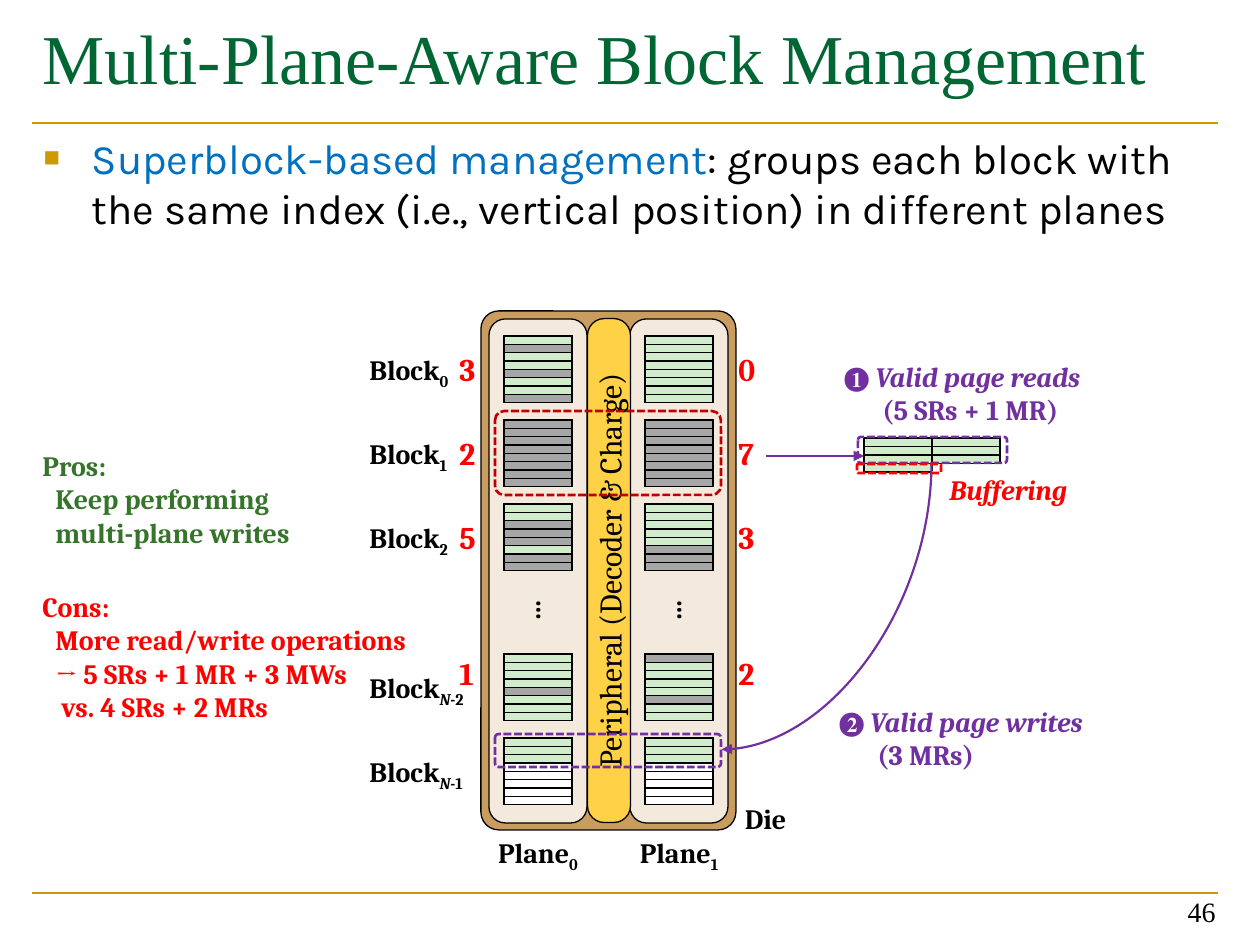
"""Build a slide on block management that is aware of flash planes."""
from dataclasses import dataclass

from lxml.etree import SubElement
from pptx import Presentation
from pptx.dml.color import RGBColor
from pptx.enum.dml import MSO_LINE
from pptx.enum.shapes import MSO_CONNECTOR, MSO_SHAPE
from pptx.enum.text import MSO_ANCHOR, MSO_AUTO_SIZE, PP_ALIGN
from pptx.oxml.ns import qn
from pptx.util import Emu, Pt

PX = 914400 / 126


@dataclass(frozen=True)
class Theme:
    title_font: str = "Times New Roman"
    body_font: str = "Karla"
    label_font: str = "Cambria"
    title_size: int = 40
    body_size: int = 24
    count_size: int = 18
    label_size: int = 16
    black: str = "000000"
    white: str = "FFFFFF"
    gold: str = "CC9900"
    title: str = "006633"
    term: str = "0070C0"
    pros: str = "35742A"
    red: str = "FF0000"
    dark_red: str = "C00000"
    purple: str = "7030A0"
    die: str = "C99C60"
    plane: str = "F3EADD"
    peripheral: str = "FFD147"
    valid: str = "D0ECCB"
    invalid: str = "A6A6A6"


THEME = Theme()


def px(length):
    return Emu(round(length * PX))


def write(para, text, font=THEME.label_font, size=THEME.label_size, color=THEME.black,
          bold=True, italic=False, subscript=False):
    span = para.add_run()
    span.text = text
    span.font.name, span.font.size = font, Pt(size)
    span.font.bold, span.font.italic = bold, italic
    span.font.color.rgb = RGBColor.from_string(color)
    if subscript:
        span.font._element.set("baseline", "-25000")


class SlideBuilder:
    def __init__(self, deck, theme):
        self.theme = theme
        self.page = deck.slides.add_slide(deck.slide_layouts[1])

    def placeholder(self, index, bounds, anchor):
        box = self.page.placeholders[index]
        box.left, box.top, box.width, box.height = map(px, bounds)
        frame = box.text_frame
        frame.auto_size, frame.vertical_anchor = MSO_AUTO_SIZE.NONE, anchor
        return frame

    def title(self, text, *bounds):
        frame = self.placeholder(0, bounds, MSO_ANCHOR.BOTTOM)
        frame.margin_bottom = 0
        para = frame.paragraphs[0]
        para.alignment = PP_ALIGN.LEFT
        write(para, text, self.theme.title_font, self.theme.title_size, self.theme.title, False)

    def bullet(self, spans, *bounds):
        para = self.placeholder(1, bounds, MSO_ANCHOR.TOP).paragraphs[0]
        properties = para._p.get_or_add_pPr()
        properties.set("marL", str(px(48)))
        properties.set("indent", str(px(-48)))
        SubElement(SubElement(properties, qn("a:spcBef")), qn("a:spcPct"), val="20000")
        SubElement(SubElement(properties, qn("a:buClr")), qn("a:srgbClr"), val=self.theme.gold)
        SubElement(properties, qn("a:buSzPct"), val="65000")
        SubElement(properties, qn("a:buChar"), char="■")
        for text, color in spans:
            write(para, text, self.theme.body_font, self.theme.body_size, color, False)

    def text(self, lines, *bounds, align=PP_ALIGN.LEFT, rotation=0,
             anchor=MSO_ANCHOR.TOP, **style):
        """Add lines of the form (indent, [(text, format), ...])."""
        box = self.page.shapes.add_textbox(*map(px, bounds))
        box.rotation = rotation
        frame = box.text_frame
        frame.word_wrap, frame.vertical_anchor = True, anchor
        for number, (indent, spans) in enumerate(lines):
            para = frame.add_paragraph() if number else frame.paragraphs[0]
            para.alignment = align
            if indent:
                para._p.get_or_add_pPr().set("marL", str(px(indent)))
            for text, extra in spans:
                write(para, text, **{**style, **extra})

    def label(self, text, *bounds, **style):
        self.text([(0, [(text, {})])], *bounds, **style)

    def indexed(self, name, index, *bounds, **style):
        spans = [(name, {})]
        if index.startswith("N"):
            spans.append(("N", {"subscript": True, "italic": True}))
        spans.append((index.removeprefix("N"), {"subscript": True}))
        self.text([(0, spans)], *bounds, **style)

    def rounded(self, *bounds, fill=None, line=THEME.black, width=0.75, corner=0.167, dashed=False):
        shape = self.page.shapes.add_shape(MSO_SHAPE.ROUNDED_RECTANGLE, *map(px, bounds))
        shape.shadow.inherit = False
        shape.adjustments[0] = corner
        if fill:
            shape.fill.solid()
            shape.fill.fore_color.rgb = RGBColor.from_string(fill)
        else:
            shape.fill.background()
        shape.line.color.rgb = RGBColor.from_string(line)
        shape.line.width = Pt(width)
        if dashed:
            shape.line.dash_style = MSO_LINE.SQUARE_DOT
        return shape

    def highlight(self, *bounds, color):
        self.rounded(*bounds, line=color, width=1.5, corner=0.11, dashed=True)

    def peripheral(self, text, *bounds):
        shape = self.rounded(*bounds, fill=self.theme.peripheral, corner=0.39)
        shape.rotation = 270
        frame = shape.text_frame
        frame.margin_left = frame.margin_right = frame.margin_top = frame.margin_bottom = 0
        frame.vertical_anchor = MSO_ANCHOR.MIDDLE
        frame.paragraphs[0].alignment = PP_ALIGN.CENTER
        write(frame.paragraphs[0], text, size=self.theme.count_size, bold=False)

    def pages(self, states, *bounds):
        """Add a column of pages: V valid, I invalid, F free, N none."""
        fills = {"V": self.theme.valid, "I": self.theme.invalid,
                 "F": self.theme.white, "N": self.theme.white}
        table = self.page.shapes.add_table(len(states), 1, *map(px, bounds)).table
        table.first_row = table.horz_banding = False
        for number, state in enumerate(states):
            table.rows[number].height = px(bounds[3] / len(states))
            cell = table.cell(number, 0)
            cell.margin_left = cell.margin_right = cell.margin_top = cell.margin_bottom = 0
            SubElement(cell.text_frame.paragraphs[0]._p, qn("a:endParaRPr"), sz="100")
            for side in "LT" if state == "N" else "LRTB":
                border = SubElement(cell._tc.get_or_add_tcPr(), qn(f"a:ln{side}"), w="12700")
                paint = SubElement(border, qn("a:solidFill"))
                SubElement(paint, qn("a:srgbClr"), val=self.theme.black)
            cell.fill.solid()
            cell.fill.fore_color.rgb = RGBColor.from_string(fills[state])

    def line(self, *ends, color, width, arrow=False, kind=MSO_CONNECTOR.STRAIGHT):
        connector = self.page.shapes.add_connector(kind, *map(px, ends))
        connector.line.color.rgb = RGBColor.from_string(color)
        connector.line.width = Pt(width)
        if arrow:
            SubElement(connector.line._get_or_add_ln(), qn("a:tailEnd"), type="triangle")
        properties = connector._element.spPr
        SubElement(properties, qn("a:effectLst"))
        return properties

    def quarter_curve(self, *ends, color, width):
        properties = self.line(*ends, color=color, width=width, arrow=True, kind=MSO_CONNECTOR.CURVE)
        properties.find(qn("a:prstGeom")).set("prst", "curvedConnector2")
        properties.find(qn("a:xfrm")).set("rot", "5400000")


def main():
    deck = Presentation()
    deck.slide_width, deck.slide_height = px(1260), px(945)
    page = SlideBuilder(deck, THEME)
    count = {"size": THEME.count_size, "color": THEME.red}

    for y in (123, 893):
        page.line(32, y, 1218, y, color=THEME.gold, width=1.5)
    page.title("Multi-Plane-Aware Block Management", 30, 6, 1187, 93)
    page.bullet([("Superblock-based management", THEME.term),
                 (": groups each block with the same index (i.e., vertical position) "
                  "in different planes", THEME.black)], 31, 126, 1187, 766)
    page.label("46", 934, 871, 294, 63, align=PP_ALIGN.RIGHT, anchor=MSO_ANCHOR.BOTTOM,
               font=THEME.title_font, bold=False)

    page.rounded(481, 311, 255, 519, fill=THEME.die, corner=0.07)
    planes = (489, 630)
    for index, x in enumerate(planes):
        page.rounded(x, 319, 98, 504, fill=THEME.plane)
        page.label("…", x + 34, 588, 48, 47, rotation=90)
        page.indexed("Plane", str(index), x - 6, 829, 110, 47, align=PP_ALIGN.CENTER)
    page.peripheral("Peripheral (Decoder & Charge)", 357, 549, 504, 43)
    page.label("Die", 731, 795, 69, 47, align=PP_ALIGN.CENTER)

    blocks = [("0", 336, 344, "30", ("VIVVIVVI", "VVVVVVVV")),
              ("1", 420, 428, "27", ("IIIIIIII", "IIIIIIII")),
              ("2", 504, 512, "53", ("VVIIIVII", "VVVVVIII")),
              ("N-2", 654, 648, "12", ("VVVVIVVV", "IVVVVIVV")),
              ("N-1", 738, 738, "", ("VVVFFFFF", "VVVFFFFF"))]
    for index, top, count_top, counts, columns in blocks:
        page.indexed("Block", index, 357, top + 10, 129, 47)
        for x, states in zip(planes, columns):
            page.pages(states, x + 15, top, 68, 67)
        for x, number in zip((447, 726), counts):
            page.label(number, x, count_top, 44, 50, **count)

    page.highlight(495, 411, 226, 84, color=THEME.dark_red)
    page.highlight(495, 734, 226, 33, color=THEME.purple)
    for x, states in ((864, "VVVV"), (932, "VVVN")):
        page.pages(states, x, 438, 68, 34)
    page.line(766, 456, 864, 456, color=THEME.purple, width=1, arrow=True)
    page.highlight(858, 437, 149, 26, color=THEME.purple)
    page.quarter_curve(683, 501, 970, 711, color=THEME.purple, width=1.25)
    page.highlight(857, 464, 84, 9, color=THEME.red)
    page.label("Buffering", 937, 466, 152, 47, color=THEME.red, italic=True)

    steps = [("❶ ", "Valid page reads", "(5 SRs + 1 MR)", 832, 353),
             ("❷ ", "Valid page writes", "(3 MRs)", 827, 698)]
    for mark, action, cost, x, y in steps:
        page.text([(0, [(mark, {}), (action, {"italic": True})]), (38, [(cost, {})])],
                  x, y, 279, 81, color=THEME.purple)

    notes = [(THEME.pros, 442, 278, [(0, "Pros:"), (13, "Keep performing"),
                                     (13, "multi-plane writes")]),
             (THEME.red, 583, 402, [(0, "Cons:"), (13, "More read/write operations"),
                                    (13, "→ 5 SRs + 1 MR + 3 MWs"),
                                    (19, "vs. 4 SRs + 2 MRs")])]
    for color, y, width, lines in notes:
        page.text([(indent, [(text, {})]) for indent, text in lines],
                  30, y, width, 217, color=color)

    deck.save("out.pptx")


if __name__ == "__main__":
    main()
